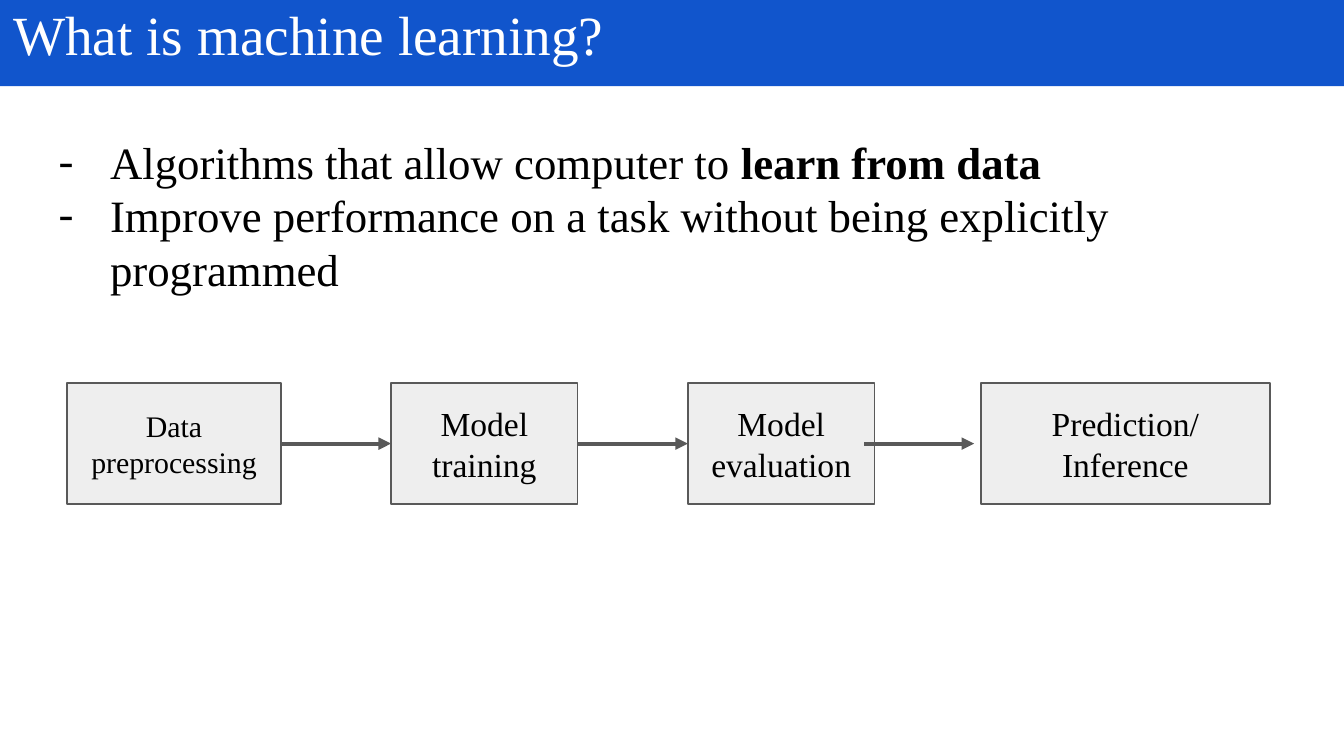
from lxml import etree
from pptx import Presentation
from pptx.dml.color import RGBColor
from pptx.enum.shapes import MSO_CONNECTOR, MSO_SHAPE
from pptx.enum.text import MSO_ANCHOR, PP_ALIGN
from pptx.oxml.ns import qn
from pptx.util import Cm, Pt

RECTANGLE = MSO_SHAPE.RECTANGLE
STRAIGHT = MSO_CONNECTOR.STRAIGHT
TOP, MIDDLE = MSO_ANCHOR.TOP, MSO_ANCHOR.MIDDLE
LEFT, CENTER = PP_ALIGN.LEFT, PP_ALIGN.CENTER
LEFT_SIDE, RIGHT_SIDE = 1, 3

BLUE = RGBColor(0x11, 0x55, 0xCC)
WHITE = RGBColor(0xFF, 0xFF, 0xFF)
BLACK = RGBColor(0, 0, 0)
PALE_GRAY = RGBColor(0xEE, 0xEE, 0xEE)
DARK_GRAY = RGBColor(0x59, 0x59, 0x59)


class SlideWriter:
    font_name = "Times New Roman"
    inset = Cm(0.25)

    def __init__(self, page):
        self.page = page

    def frame(self, shape, anchor):
        frame = shape.text_frame
        settings = {"word_wrap": True, "vertical_anchor": anchor}
        for side in ("left", "top", "right", "bottom"):
            settings[f"margin_{side}"] = self.inset
        for name, value in settings.items():
            setattr(frame, name, value)
        return frame

    def span(self, para, text, size, color, bold=False):
        span = para.add_run()
        span.text = text
        settings = {"name": self.font_name, "size": Pt(size), "bold": bold}
        for name, value in settings.items():
            setattr(span.font, name, value)
        span.font.color.rgb = color

    def box(self, place, text, size, fill, color, border=None,
            anchor=MIDDLE, align=CENTER, spacing=None):
        box = self.page.shapes.add_shape(RECTANGLE, *map(Cm, place))
        box.shadow.inherit = False
        box.fill.solid()
        box.fill.fore_color.rgb = fill
        if border is None:
            box.line.fill.background()
        else:
            box.line.color.rgb = border
            box.line.width = Pt(0.75)
        para = self.frame(box, anchor).paragraphs[0]
        para.alignment = align
        para.line_spacing = spacing
        self.span(para, text, size, color)
        return box

    def bullets(self, place, items, size, color):
        frame = self.frame(self.page.shapes.add_textbox(*map(Cm, place)), TOP)
        for index, spans in enumerate(items):
            para = frame.add_paragraph() if index else frame.paragraphs[0]
            properties = para._p.get_or_add_pPr()
            properties.set("marL", str(Cm(1.27)))
            properties.set("indent", str(Cm(-0.97)))
            bullet_color = etree.SubElement(properties, qn("a:buClr"))
            etree.SubElement(bullet_color, qn("a:srgbClr"), val=str(color))
            etree.SubElement(properties, qn("a:buFont"), typeface=self.font_name)
            etree.SubElement(properties, qn("a:buChar"), char="-")
            for text, bold in spans:
                self.span(para, text, size, color, bold)

    def arrow(self, start, end, y, source=None, target=None):
        arrow = self.page.shapes.add_connector(
            STRAIGHT, Cm(start), Cm(y), Cm(end), Cm(y))
        if source is not None:
            arrow.begin_connect(source, RIGHT_SIDE)
        if target is not None:
            arrow.end_connect(target, LEFT_SIDE)
        arrow.line.color.rgb = DARK_GRAY
        arrow.line.width = Pt(2.25)
        etree.SubElement(arrow.line._get_or_add_ln(), qn("a:tailEnd"),
                         type="triangle")
        etree.SubElement(arrow._element.spPr, qn("a:effectLst"))


def main():
    deck = Presentation()
    deck.slide_width, deck.slide_height = Cm(25.4), Cm(14.29)
    writer = SlideWriter(deck.slides.add_slide(deck.slide_layouts[6]))

    # Title bar
    writer.box((0, 0, 25.4, 1.63), "What is machine learning?", 29.6, BLUE,
               WHITE, anchor=TOP, align=LEFT, spacing=0.8)

    # Definition
    writer.bullets((0.56, 2.29, 22.5, 9.53), [
        [("Algorithms that allow computer to ", False),
         ("learn from data", True)],
        [("Improve performance on a task without being explicitly programmed",
          False)],
    ], 24, BLACK)

    # Workflow steps: left, width, text, size
    top, height = 7.24, 2.29
    steps = [
        (1.27, 4.04, "Data preprocessing", 16),
        (7.39, 3.53, "Model training", 18),
        (13, 3.53, "Model evaluation", 18),
        (18.54, 5.46, "Prediction/Inference", 18),
    ]
    boxes = [writer.box((left, top, width, height), text, size, PALE_GRAY,
                        BLACK, DARK_GRAY)
             for left, width, text, size in steps]

    # Workflow arrows: the last one floats free of its boxes
    middle = top + height / 2
    preprocessing, training, evaluation = boxes[:3]
    writer.arrow(5.31, 7.39, middle, preprocessing, training)
    writer.arrow(10.92, 13, middle, training, evaluation)
    writer.arrow(16.33, 18.41, middle)

    deck.save("out.pptx")


if __name__ == "__main__":
    main()
